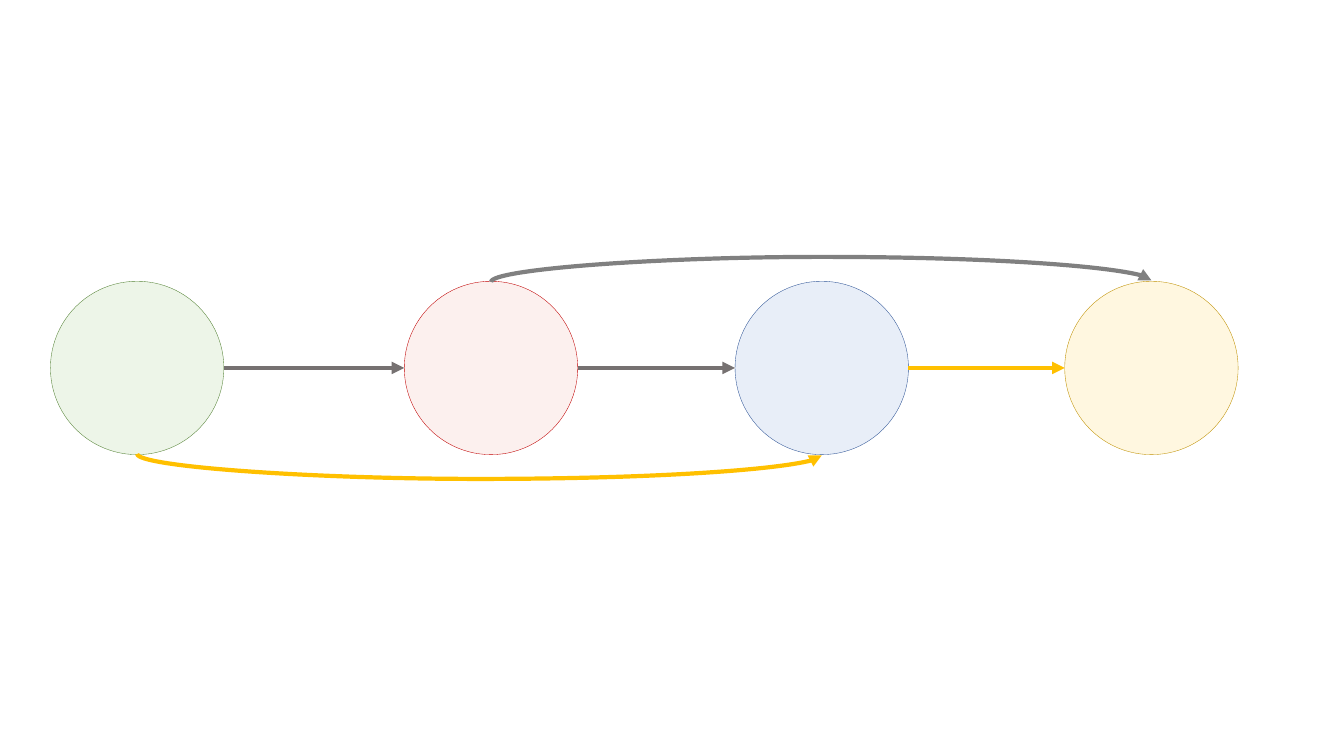
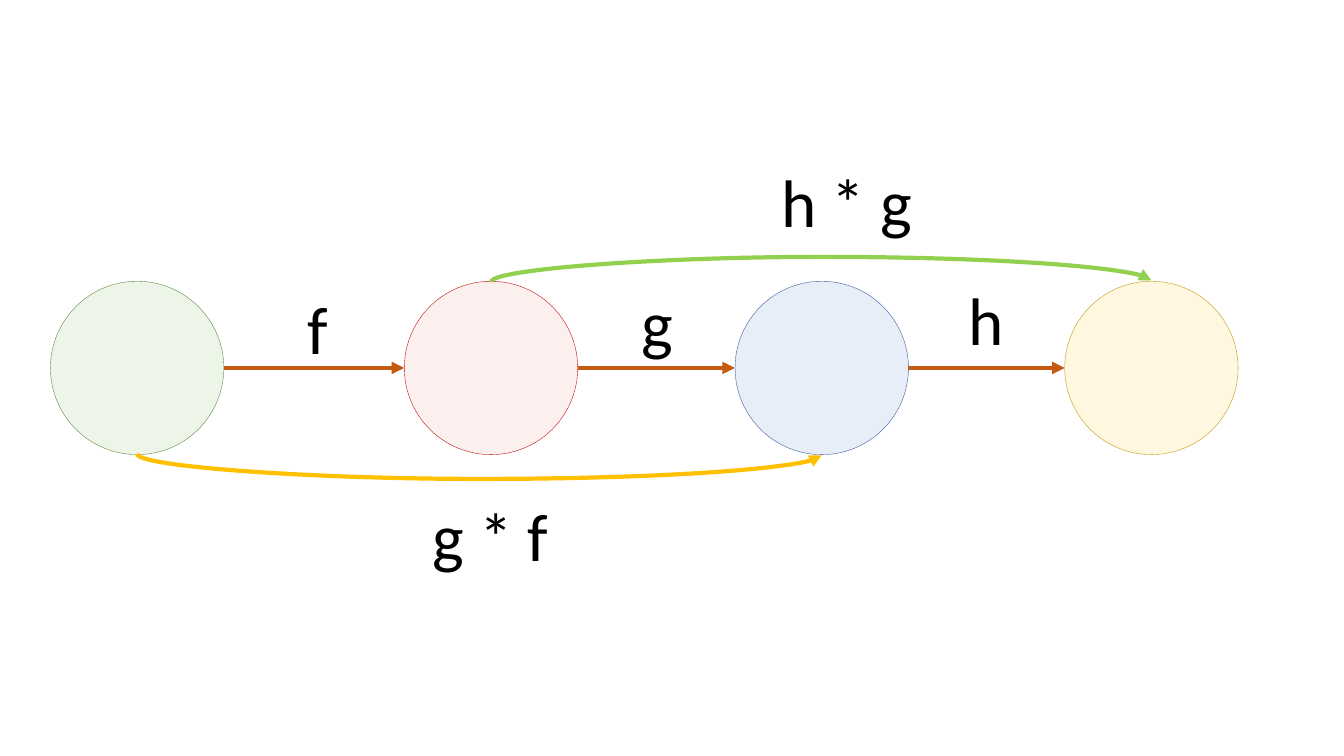
from lxml.etree import SubElement
from pptx import Presentation
from pptx.dml.color import RGBColor
from pptx.enum.shapes import MSO_CONNECTOR, MSO_SHAPE
from pptx.enum.text import MSO_AUTO_SIZE
from pptx.oxml.ns import qn
from pptx.util import Inches, Pt

GRAY = RGBColor(0x76, 0x71, 0x71)
MID_GRAY = RGBColor(0x80, 0x80, 0x80)
GOLD = RGBColor(0xFF, 0xC0, 0x00)
ORANGE = RGBColor(0xC5, 0x5A, 0x11)
LIME = RGBColor(0x92, 0xD0, 0x50)
BLACK = RGBColor(0x00, 0x00, 0x00)

DIAMETER = Inches(1.72)
CIRCLE_TOP = Inches(2.79)
CIRCLES = [
    (0.5, RGBColor(0xA9, 0xD1, 0x8E), RGBColor(0x54, 0x82, 0x35)),
    (4.01, RGBColor(0xF0, 0xB4, 0xAE), RGBColor(0xC0, 0x00, 0x00)),
    (7.29, RGBColor(0x8F, 0xAA, 0xDC), RGBColor(0x2F, 0x55, 0x97)),
    (10.56, RGBColor(0xFF, 0xD9, 0x66), RGBColor(0xBF, 0x90, 0x00)),
]
FILL_ALPHA = "20000"

SITE_TOP, SITE_LEFT, SITE_BOTTOM, SITE_RIGHT = 0, 2, 4, 6
CURVE_DEPTH = Pt(1)
CURVE_BULGE = "val 1800000"

LABELS = [
    ("f", 2.95, 2.8, 0.41),
    ("g", 6.26, 2.74, 0.52),
    ("h", 9.51, 2.71, 0.56),
    ("g * f", 4.19, 4.85, 1.36),
    ("h * g", 7.65, 1.54, 1.51),
]


def add_circle(slide, left, fill_color, line_color):
    circle = slide.shapes.add_shape(
        MSO_SHAPE.OVAL, Inches(left), CIRCLE_TOP, DIAMETER, DIAMETER)
    circle.shadow.inherit = False
    circle.fill.solid()
    circle.fill.fore_color.rgb = fill_color
    color = circle.element.spPr.find(qn("a:solidFill")).find(qn("a:srgbClr"))
    SubElement(color, qn("a:alpha"), val=FILL_ALPHA)
    circle.line.color.rgb = line_color
    circle.line.width = Pt(0.25)
    return circle


def style_arrow(connector, color):
    connector.line.color.rgb = color
    connector.line.width = Pt(3)
    properties = connector.element.spPr
    SubElement(properties.find(qn("a:ln")), qn("a:tailEnd"), type="triangle")
    SubElement(properties, qn("a:effectLst"))


def glue(connector, start, start_site, end, end_site):
    links = connector.element.nvCxnSpPr.cNvCxnSpPr
    for tag, shape, site in (("a:stCxn", start, start_site), ("a:endCxn", end, end_site)):
        SubElement(links, qn(tag), id=str(shape.shape_id), idx=str(site))


def add_straight_arrow(slide, start, end, color):
    middle = start.top + start.height // 2
    connector = slide.shapes.add_connector(
        MSO_CONNECTOR.STRAIGHT, start.left + start.width, middle, end.left, middle)
    glue(connector, start, SITE_RIGHT, end, SITE_LEFT)
    style_arrow(connector, color)


def add_curved_arrow(slide, start, end, color, above):
    span = end.left - start.left
    center_x = (start.left + end.left + DIAMETER) // 2
    edge = CIRCLE_TOP if above else CIRCLE_TOP + DIAMETER
    upper, lower = edge - span // 2, edge + span // 2
    begin_y, end_y = (lower, upper) if above else (upper, lower)
    half_depth = CURVE_DEPTH // 2
    connector = slide.shapes.add_connector(
        MSO_CONNECTOR.CURVE, center_x + half_depth, begin_y, center_x - half_depth, end_y)
    properties = connector.element.spPr
    properties.find(qn("a:xfrm")).set("rot", "5400000" if above else "16200000")
    adjustments = properties.find(qn("a:prstGeom")).find(qn("a:avLst"))
    SubElement(adjustments, qn("a:gd"), name="adj1", fmla=CURVE_BULGE)
    site = SITE_TOP if above else SITE_BOTTOM
    glue(connector, start, site, end, site)
    style_arrow(connector, color)


def add_label(slide, text, left, top, width):
    label = slide.shapes.add_textbox(
        Inches(left), Inches(top), Inches(width), Inches(0.91))
    text_frame = label.text_frame
    text_frame.word_wrap = False
    text_frame.auto_size = MSO_AUTO_SIZE.SHAPE_TO_FIT_TEXT
    text_frame.text = text
    font = text_frame.paragraphs[0].runs[0].font
    font.name = "Calibri"
    font.size = Pt(48)
    font.color.rgb = BLACK


def add_diagram(presentation, step_colors, lower_color, upper_color, labels=()):
    slide = presentation.slides.add_slide(presentation.slide_layouts[6])
    circles = [add_circle(slide, *circle) for circle in CIRCLES]
    for start, end, color in zip(circles, circles[1:], step_colors):
        add_straight_arrow(slide, start, end, color)
    add_curved_arrow(slide, circles[0], circles[2], lower_color, above=False)
    add_curved_arrow(slide, circles[1], circles[3], upper_color, above=True)
    for label in labels:
        add_label(slide, *label)


def main():
    presentation = Presentation()
    presentation.slide_width = Inches(13.33)
    presentation.slide_height = Inches(7.5)
    add_diagram(presentation, [GRAY, GRAY, GOLD], GOLD, MID_GRAY)
    add_diagram(presentation, [ORANGE] * 3, GOLD, LIME, LABELS)
    presentation.save("out.pptx")


if __name__ == "__main__":
    main()
